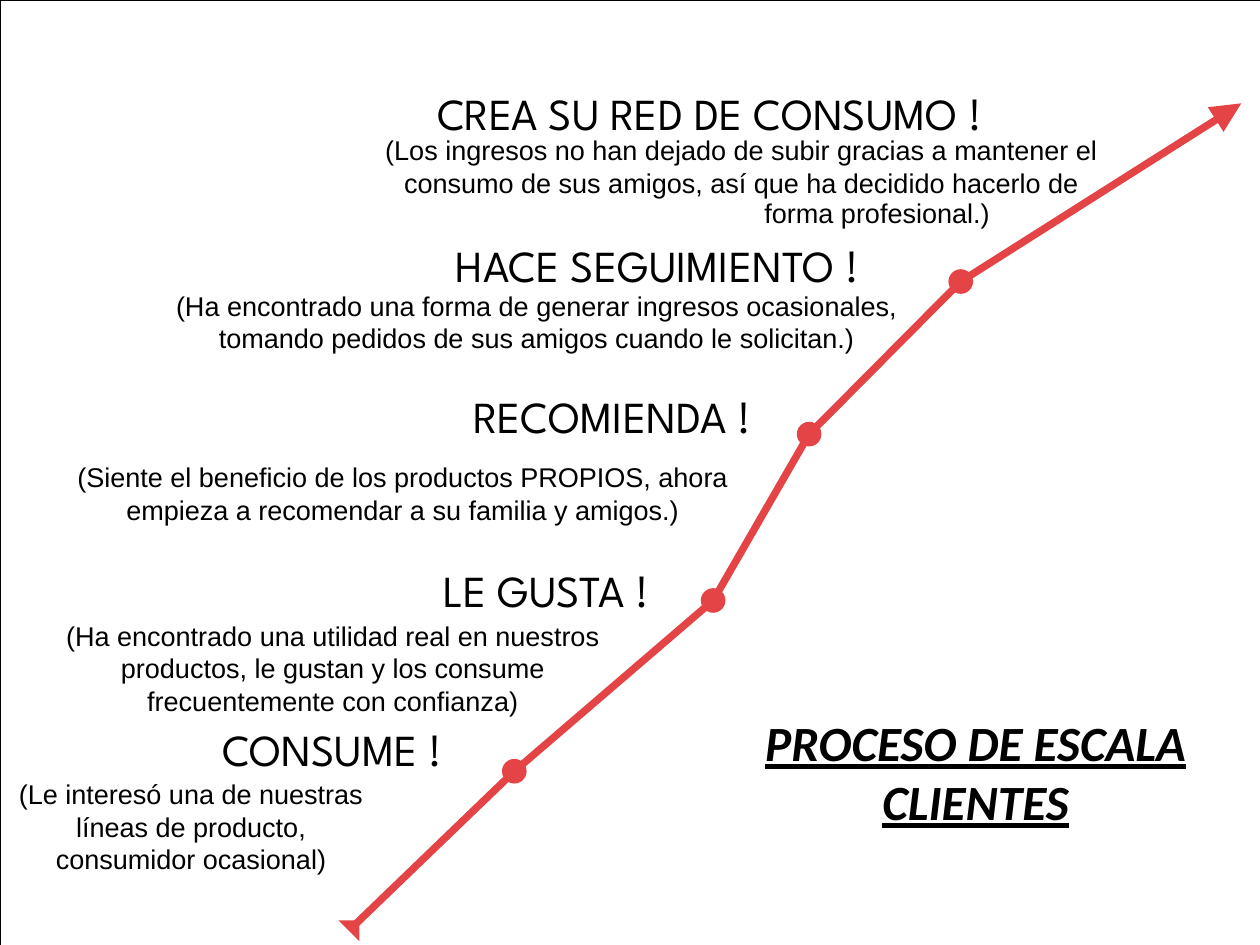
from itertools import pairwise

from lxml.etree import SubElement
from pptx import Presentation
from pptx.dml.color import RGBColor
from pptx.enum.shapes import MSO_CONNECTOR as CONN, MSO_SHAPE as SHAPE
from pptx.enum.text import MSO_ANCHOR as ANCHOR, PP_ALIGN as ALIGN
from pptx.oxml.ns import qn
from pptx.util import Inches, Pt

COLS, ROWS = 128, 96
CELL = Inches(1 / 9)
RED, BLACK = "E44445", "000000"
DOT = 2.5
HEADING_WIDTH = 60

# heading, its centre and top; description lines, their centre, top and width
STEPS = [
    ("CREA SU RED DE CONSUMO !", 72.1, 8.8,
     ["(Los ingresos no han dejado de subir gracias a mantener el",
      "consumo de sus amigos, así que ha decidido hacerlo de"], 75.3, 13.6, 76),
    ("HACE SEGUIMIENTO !", 66.8, 24.2,
     ["(Ha encontrado una forma de generar ingresos ocasionales,",
      "tomando pedidos de sus amigos cuando le solicitan.)"], 54.5, 29.4, 76),
    ("RECOMIENDA !", 62.2, 39.5,
     ["(Siente el beneficio de los productos PROPIOS, ahora",
      "empieza a recomendar a su familia y amigos.)"], 40.9, 46.8, 70),
    ("LE GUSTA !", 55.5, 57.2,
     ["(Ha encontrado una utilidad real en nuestros",
      "productos, le gustan y los consume",
      "frecuentemente con confianza)"], 33.8, 62.9, 58),
    ("CONSUME !", 33.75, 73.4,
     ["(Le interesó una de nuestras", "líneas de producto,",
      "consumidor ocasional)"], 19.4, 79, 38),
]
CLIMB = [(36.1, 93.9), (52.25, 78.35), (72.45, 61), (82.2, 44.1),
         (97.6, 28.6), (123.8, 12)]
ARROW_ENDS = [[(126.1, 10.5), (122.7, 10.9), (124.3, 13.4)],
              [(34.4, 93.5), (36.5, 95.6), (36.5, 93.5)]]
TITLE_FORMAT = dict(name="Calibri", size=Pt(40), bold=True, italic=True, underline=True)


def cells(*lengths):
    """Convert grid lengths to EMU."""
    return [round(n * CELL) for n in lengths]


def add_centred_text(text, centre, top, width, font, size):
    tf = s.shapes.add_textbox(*cells(centre - width / 2, top, width, 4)).text_frame
    tf.word_wrap = True
    for side in ("left", "right", "top", "bottom"):
        setattr(tf, f"margin_{side}", 0)
    p = tf.paragraphs[0]
    p.text, p.alignment = text, ALIGN.CENTER
    p.font.name, p.font.size = font, Pt(size)
    p.font.color.rgb = RGBColor.from_string(BLACK)


prs = Presentation()
prs.slide_width, prs.slide_height = cells(COLS, ROWS)
s = prs.slides.add_slide(prs.slide_layouts.get_by_name("Title Only"))

# Rising line
for start, end in pairwise(CLIMB):
    line = s.shapes.add_connector(CONN.STRAIGHT, *cells(*start, *end))
    line.line.width = Pt(6)
    line.line.color.rgb = RGBColor.from_string(RED)
    SubElement(line._element.spPr, qn("a:effectLst"))

markers = [s.shapes.add_shape(SHAPE.OVAL, *cells(x - DOT / 2, y - DOT / 2, DOT, DOT))
           for x, y in CLIMB[1:-1]]
for first, *rest in ARROW_ENDS:
    builder = s.shapes.build_freeform(*cells(*first))
    builder.add_line_segments([cells(*point) for point in rest], close=True)
    markers.append(builder.convert_to_shape())
for sp in markers:
    sp.shadow.inherit = False
    sp.fill.solid()
    sp.fill.fore_color.rgb = RGBColor.from_string(RED)
    sp.line.fill.background()

# Slide border
frame = s.shapes.add_shape(SHAPE.RECTANGLE, *cells(0, 0, COLS, ROWS))
frame.shadow.inherit = False
frame.fill.background()
frame.line.width = Pt(0.25)
frame.line.color.rgb = RGBColor.from_string(BLACK)

# Steps
for heading, centre, top, lines, text_centre, text_top, width in STEPS:
    add_centred_text(heading, centre, top, HEADING_WIDTH, "League Spartan", 36)
    add_centred_text("\v".join(lines), text_centre, text_top, width, "Arial", 22)
add_centred_text("forma profesional.)", 89.1, 20, 30, "Arial", 22)

# Title
title = s.shapes.title
title.left, title.top, title.width, title.height = cells(75.6, 71.9, 47, 13)
tf = title.text_frame
tf.word_wrap, tf.vertical_anchor = True, ANCHOR.TOP
p = tf.paragraphs[0]
p.text, p.alignment = "PROCESO DE ESCALA CLIENTES", ALIGN.CENTER
for name, value in TITLE_FORMAT.items():
    setattr(p.font, name, value)
p.font.color.rgb = RGBColor.from_string(BLACK)

prs.save("out.pptx")
